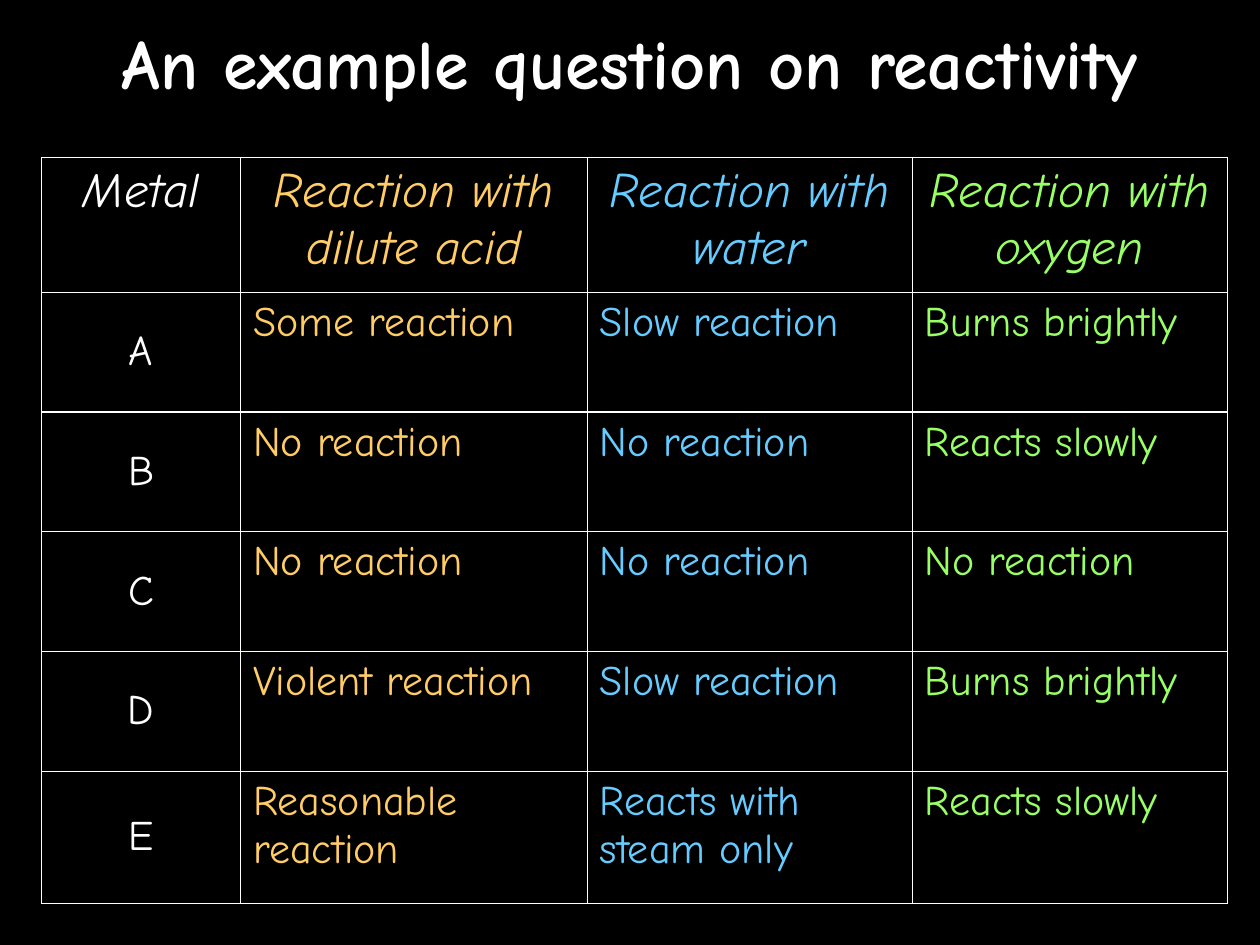
"""Build a slide with a table of metal reactivity observations."""
from lxml import etree
from pptx import Presentation
from pptx import util as u
from pptx.dml import color
from pptx.enum import text
from pptx.oxml import ns

FONT = "Comic Neue"
COLORS = {
    "background": "000000",
    "white": "FFFFFF",
    "acid": "FFCC66",
    "water": "66CCFF",
    "oxygen": "99FF66",
}
COLUMNS = [("white", 1.58), ("acid", 2.75), ("water", 2.58), ("oxygen", 2.5)]
HEIGHTS = [1.07, 0.95, 0.95, 0.95, 0.95, 1.05]
ROWS = [
    ["Metal", "Reaction with dilute acid", "Reaction with water", "Reaction with oxygen"],
    ["A", "Some reaction", "Slow reaction", "Burns brightly"],
    ["B", "No reaction", "No reaction", "Reacts slowly"],
    ["C", "No reaction", "No reaction", "No reaction"],
    ["D", "Violent reaction", "Slow reaction", "Burns brightly"],
    ["E", "Reasonable reaction", "Reacts with steam only", "Reacts slowly"],
]


def style(p, size, name, centered, bold=False, italic=False):
    p.alignment = text.PP_ALIGN.CENTER if centered else text.PP_ALIGN.LEFT
    p.font.name = FONT
    p.font.size = u.Pt(size)
    p.font.bold = bold
    p.font.italic = italic
    p.font.color.rgb = color.RGBColor.from_string(COLORS[name])


def add_borders(cell):
    props = cell._tc.get_or_add_tcPr()
    for i, side in enumerate(["lnL", "lnR", "lnT", "lnB"]):
        line = etree.Element(ns.qn(f"a:{side}"), w=str(u.Pt(0.75)))
        fill = etree.SubElement(line, ns.qn("a:solidFill"))
        etree.SubElement(fill, ns.qn("a:srgbClr"), val=COLORS["white"])
        props.insert(i, line)


prs = Presentation()
prs.slide_width = u.Inches(10)
prs.slide_height = u.Inches(7.5)
s = prs.slides.add_slide(prs.slide_layouts[6])
s.background.fill.solid()
s.background.fill.fore_color.rgb = color.RGBColor.from_string(COLORS["background"])

title = s.shapes.add_textbox(0, 0, u.Inches(10), u.Inches(0.97))
tf = title.text_frame
tf.word_wrap = True
tf.vertical_anchor = text.MSO_ANCHOR.MIDDLE
tf.text = "An example question on reactivity"
style(tf.paragraphs[0], 40, "white", centered=True, bold=True)

table = s.shapes.add_table(
    len(ROWS), len(COLUMNS), u.Inches(0.33), u.Inches(1.25), u.Inches(9.41), u.Inches(5.92)
).table
table.first_row = False
table.horz_banding = False
for column, (name, width) in zip(table.columns, COLUMNS):
    column.width = u.Inches(width)

for r, (labels, height) in enumerate(zip(ROWS, HEIGHTS)):
    table.rows[r].height = u.Inches(height)
    header = r == 0
    for c, label in enumerate(labels):
        cell = table.cell(r, c)
        cell.fill.background()
        add_borders(cell)
        cell.text = label
        if c == 0 and not header:
            cell.vertical_anchor = text.MSO_ANCHOR.MIDDLE
        style(
            cell.text_frame.paragraphs[0],
            28 if header else 24,
            COLUMNS[c][0],
            centered=header or c == 0,
            italic=header,
        )

prs.save("out.pptx")
